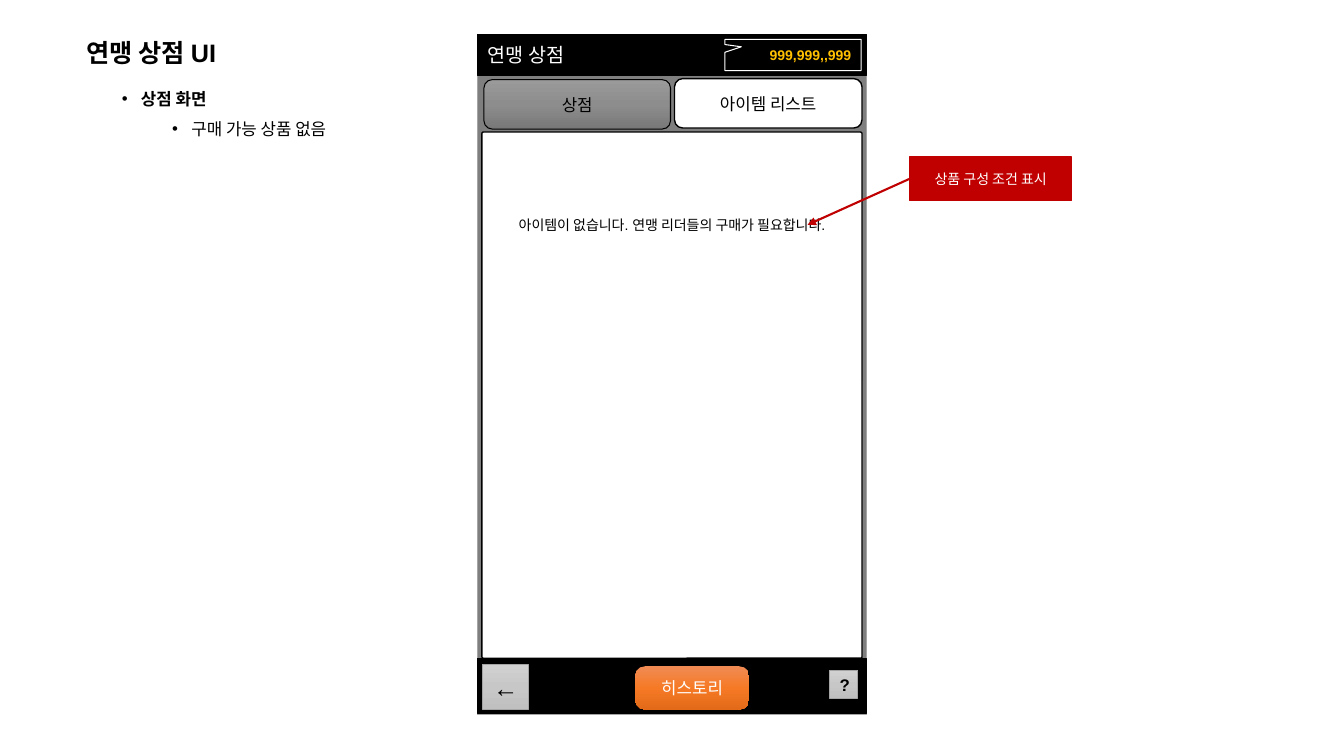
"""Build the alliance shop UI slide: a phone screen mock-up with one callout."""
from copy import deepcopy

from pptx import Presentation
from pptx.dml.color import RGBColor
from pptx.enum.shapes import MSO_CONNECTOR as Connector, MSO_SHAPE as Shape
from pptx.enum.text import MSO_ANCHOR as Anchor, MSO_AUTO_SIZE as AutoSize, PP_ALIGN as Align
from pptx.oxml.ns import qn
from pptx.util import Inches, Pt

BLACK = RGBColor(0x00, 0x00, 0x00)
WHITE = RGBColor(0xFF, 0xFF, 0xFF)
GRAY = RGBColor(0x7F, 0x7F, 0x7F)
EDGE = RGBColor(0xA5, 0xA5, 0xA5)
GOLD = RGBColor(0xFF, 0xC0, 0x00)
RED = RGBColor(0xC0, 0x00, 0x00)
SILVER = [RGBColor(0xD1, 0xD1, 0xD1), RGBColor(0xC7, 0xC7, 0xC7), RGBColor(0xC0, 0xC0, 0xC0)]
STEEL = [RGBColor(0x9A, 0x9A, 0x9A), RGBColor(0x8D, 0x8D, 0x8D), RGBColor(0x78, 0x78, 0x78)]
ORANGE = [RGBColor(0xF0, 0x8B, 0x54), RGBColor(0xF6, 0x7A, 0x26), RGBColor(0xE3, 0x6A, 0x18)]


def write(para, text, size, color, bold=False, align=Align.LEFT):
    para.text = text
    para.alignment = align
    para.font.name = "Arial"
    para.font.size = Pt(size)
    para.font.bold = bold
    para.font.color.rgb = color


def add_box(shapes, kind, place, fill, edge=None, weight=0.75, rounding=()):
    box = shapes.add_shape(kind, *[Inches(length) for length in place])
    box.shadow.inherit = False
    for index, value in enumerate(rounding):
        box.adjustments[index] = value
    if isinstance(fill, list):
        box.fill.gradient()
        box.fill.gradient_angle = 270
        stop_list = box.element.spPr.find(qn("a:gradFill")).find(qn("a:gsLst"))
        stop_list.append(deepcopy(stop_list[-1]))
        for index, stop in enumerate(box.fill.gradient_stops):
            stop.position = index / 2
            stop.color.rgb = fill[index]
    else:
        box.fill.solid()
        box.fill.fore_color.rgb = fill
    if edge is None:
        box.line.fill.background()
    else:
        box.line.color.rgb = edge
        box.line.width = Pt(weight)
    box.text_frame.word_wrap = True
    box.text_frame.vertical_anchor = Anchor.MIDDLE
    return box


deck = Presentation()
deck.slide_width, deck.slide_height = Inches(13.33), Inches(7.5)
page = deck.slides.add_slide(deck.slide_layouts[5])

title = page.shapes.title
title.left, title.top, title.width, title.height = Inches(0.76), Inches(0.32), Inches(1.65), Inches(0.4)
title.text_frame.word_wrap = False
title.text_frame.auto_size = AutoSize.NONE
title.text_frame.vertical_anchor = Anchor.TOP
write(title.text_frame.paragraphs[0], "연맹 상점 UI", 18, BLACK, True)

outline = page.shapes.add_textbox(Inches(1.11), Inches(0.73), Inches(3.51), Inches(0.71)).text_frame
outline.word_wrap = True
outline.add_paragraph()
points = [("상점 화면", 0.19, True), ("구매 가능 상품 없음", 0.69, False)]
for level, (para, (text, margin, bold)) in enumerate(zip(outline.paragraphs, points)):
    para.level = level
    para.line_spacing = 1.5
    props = para._p.get_or_add_pPr()
    props.set("marL", str(Inches(margin)))
    props.set("indent", str(Inches(-0.19)))
    bullet_font = props.makeelement(qn("a:buFont"), {"typeface": "Arial"})
    bullet = props.makeelement(qn("a:buChar"), {"char": "•"})
    props.extend([bullet_font, bullet])
    write(para, text, 12, BLACK, bold)

phone = page.shapes.add_group_shape().shapes
add_box(phone, Shape.RECTANGLE, (4.74, 0.34, 3.85, 6.75), GRAY, EDGE)
header = add_box(phone, Shape.RECTANGLE, (4.74, 0.34, 3.85, 0.41), BLACK, BLACK)
write(header.text_frame.paragraphs[0], "연맹 상점", 14, WHITE)
add_box(phone, Shape.RECTANGLE, (4.74, 6.53, 3.85, 0.55), BLACK, BLACK)

help_button = add_box(phone, Shape.RECTANGLE, (8.23, 6.65, 0.28, 0.28), SILVER, EDGE)
write(help_button.text_frame.paragraphs[0], "?", 12, BLACK, True, Align.CENTER)

item_list = add_box(phone, Shape.ROUNDED_RECTANGLE, (4.78, 1.31, 3.77, 5.22), WHITE, BLACK, 1, [0.004])
item_list.text_frame.vertical_anchor = Anchor.TOP
item_list.text_frame.margin_top = Inches(0.83)
write(item_list.text_frame.paragraphs[0], "아이템이 없습니다. 연맹 리더들의 구매가 필요합니다.", 10, BLACK, align=Align.CENTER)

back_button = add_box(phone, Shape.RECTANGLE, (4.79, 6.59, 0.45, 0.45), SILVER, EDGE)
write(back_button.text_frame.paragraphs[0], "←", 18, BLACK, align=Align.CENTER)

shop_tab = add_box(phone, Shape.ROUNDED_RECTANGLE, (4.8, 0.79, 1.85, 0.49), STEEL, BLACK)
write(shop_tab.text_frame.paragraphs[0], "상점", 12, BLACK, align=Align.CENTER)
list_tab = add_box(phone, Shape.ROUNDED_RECTANGLE, (6.69, 0.78, 1.86, 0.49), WHITE, BLACK, 1)
write(list_tab.text_frame.paragraphs[0], "아이템 리스트", 12, BLACK, align=Align.CENTER)

balance = add_box(phone, Shape.RECTANGULAR_CALLOUT, (7.19, 0.39, 1.35, 0.31), BLACK, WHITE, rounding=[-0.38, -0.26])
write(balance.text_frame.paragraphs[0], "999,999,,999", 10, GOLD, True, Align.RIGHT)

history_button = add_box(phone, Shape.ROUNDED_RECTANGLE, (6.3, 6.61, 1.13, 0.43), ORANGE, rounding=[0.23])
write(history_button.text_frame.paragraphs[0], "히스토리", 12, WHITE, align=Align.CENTER)

note = add_box(page.shapes, Shape.RECTANGLE, (9.02, 1.56, 1.61, 0.43), RED, RED, 1)
write(note.text_frame.paragraphs[0], "상품 구성 조건 표시", 10, WHITE, align=Align.CENTER)

arrow = page.shapes.add_connector(Connector.STRAIGHT, Inches(9.02), Inches(1.78), Inches(8.01), Inches(2.23))
arrow.begin_connect(note, 1)
arrow.line.color.rgb = RED
arrow.line.width = Pt(1.5)
arrow_line = arrow.line._get_or_add_ln()
arrow_line.append(arrow_line.makeelement(qn("a:tailEnd"), {"type": "triangle"}))
arrow_props = arrow.element.spPr
arrow_props.append(arrow_props.makeelement(qn("a:effectLst"), {}))

deck.save("out.pptx")
